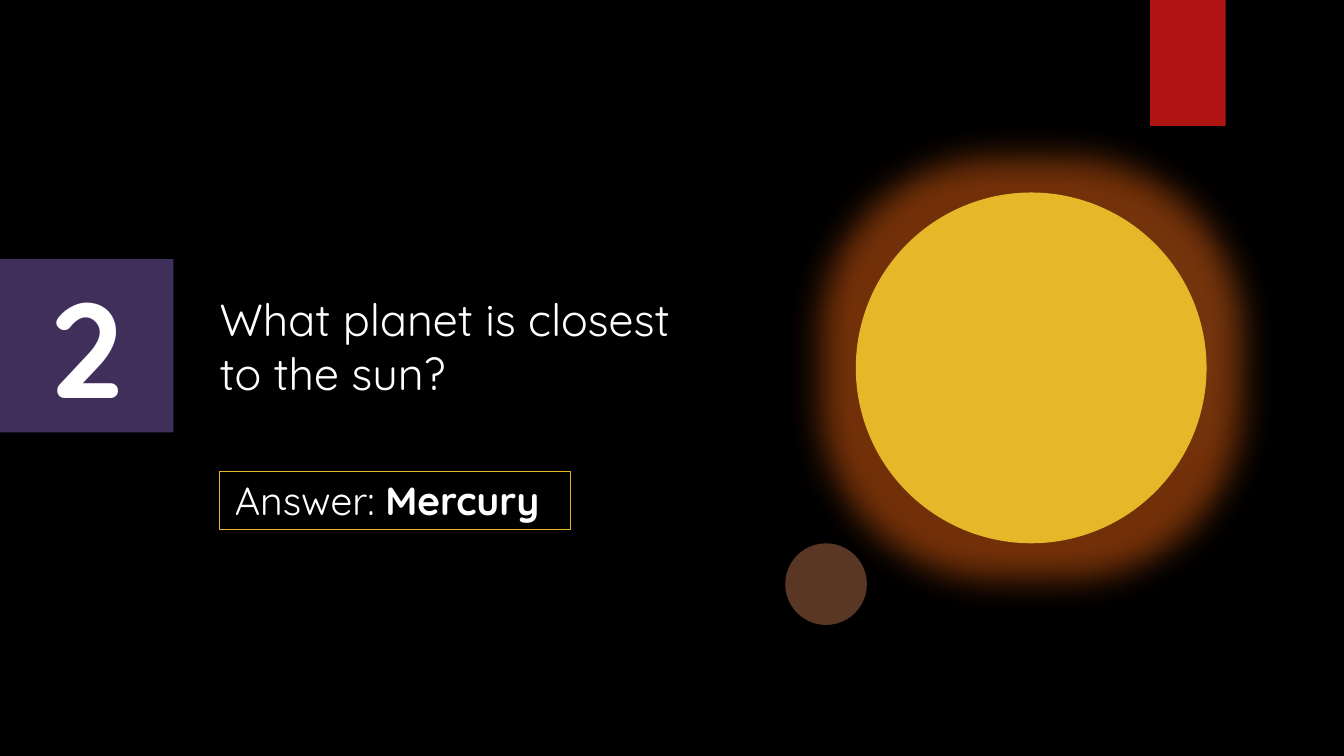
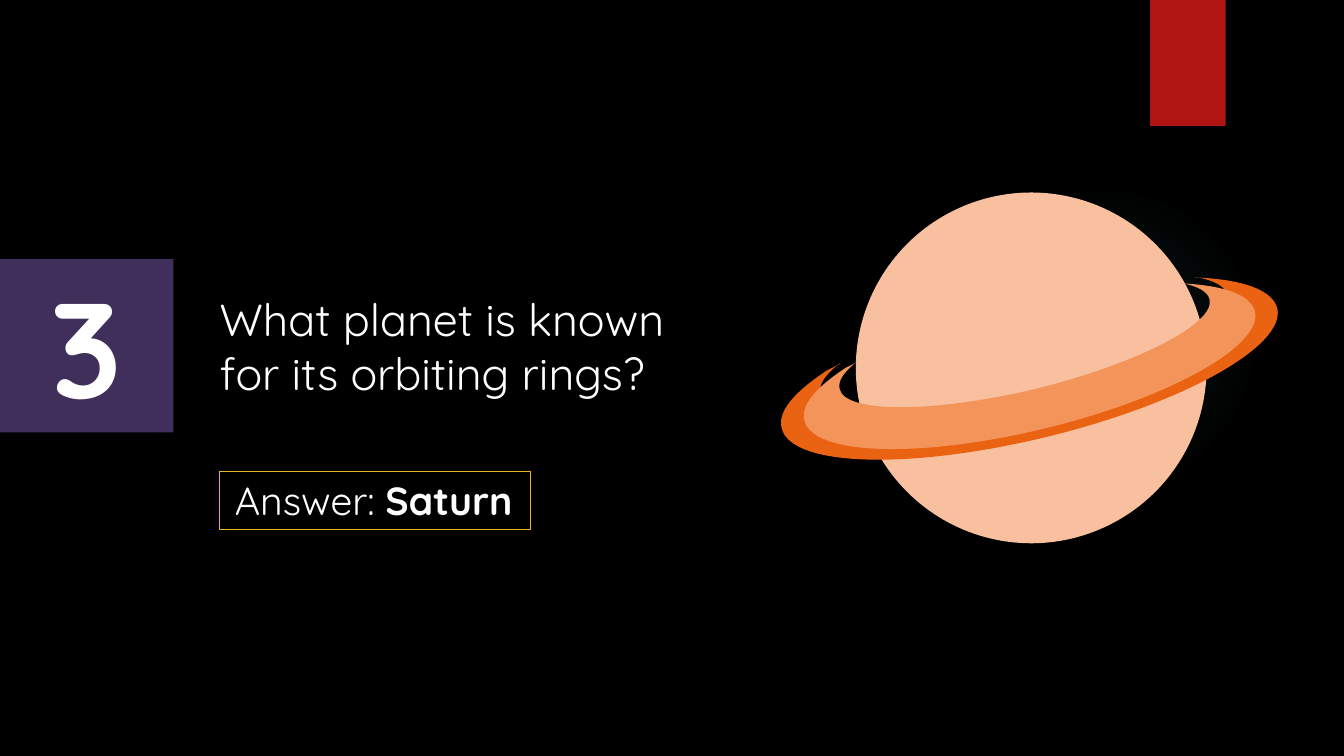
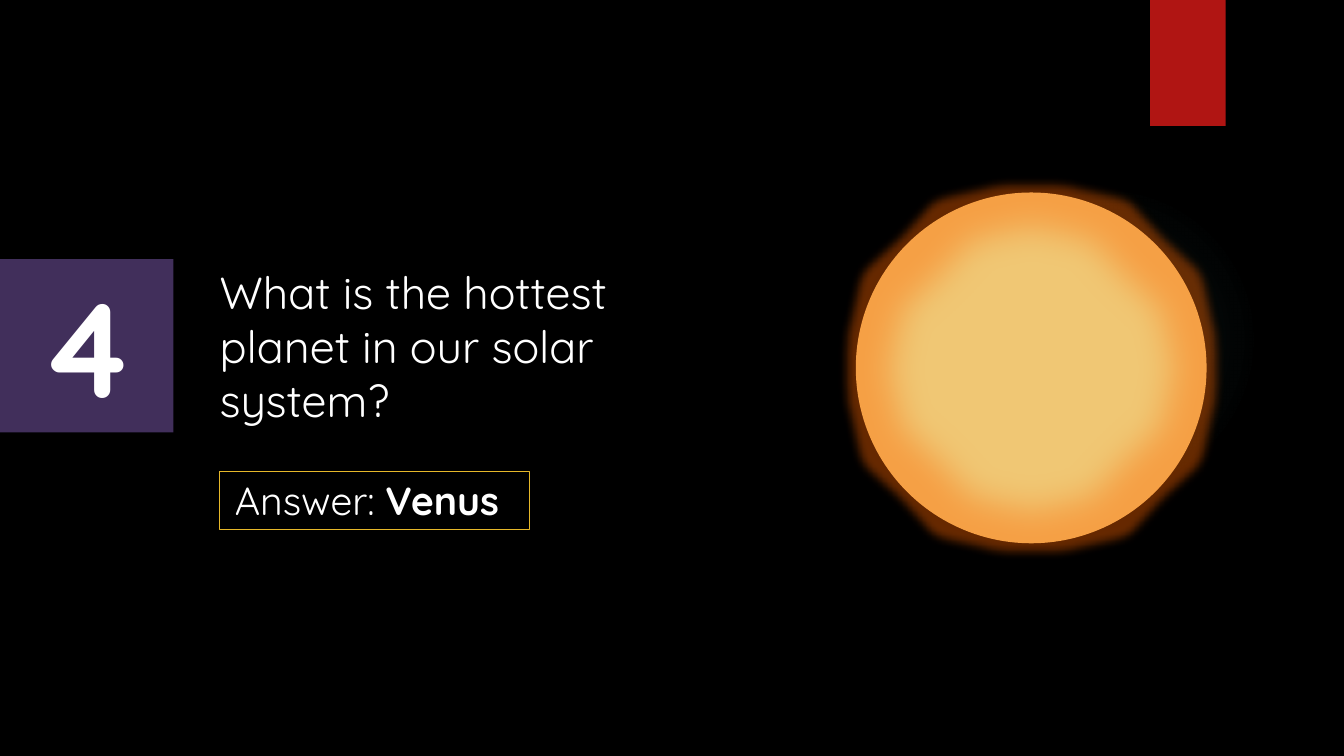
from lxml.etree import SubElement
from pptx import Presentation
from pptx.dml.color import RGBColor
from pptx.enum.shapes import MSO_SHAPE
from pptx.enum.text import MSO_ANCHOR, MSO_AUTO_SIZE, PP_ALIGN
from pptx.oxml import parse_xml
from pptx.oxml.ns import nsdecls, qn
from pptx.util import Inches, Pt

BLACK, WHITE, RED, PURPLE = "000000", "FFFFFF", "B01513", "412F5B"
GOLD, BROWN, PEACH, SAND = "E6B729", "5A3724", "F8C09F", "F0C774"
ORANGE, LIGHT_ORANGE, GLOW_ORANGE, TEAL = "EA6312", "F3955B", "FF6600", "50B9C1"

# Number, question, its top and height, answer, width of its box, globe colour
QUESTIONS = [
    ("2", "What planet is closest to the sun?", 2.79, 1.28, "Mercury", 3.48, GOLD),
    ("3", "What planet is known for its orbiting rings?", 2.79, 1.28, "Saturn", 3.08, PEACH),
    ("4", "What is the hottest planet in our solar system?", 2.52, 1.82, "Venus", 3.07, SAND),
]

# Outline of Saturn's ring: a start point, then lines (1 point) and curves (3 points)
RING_START = (8.51, 3.59)
RING_STEPS = [
    [(8.5, 3.59)],
    [(8.37, 3.69), (8.31, 3.78), (8.33, 3.86)],
    [(8.38, 4.1), (9.25, 4.1), (10.27, 3.86)],
    [(11.28, 3.61), (12.06, 3.21), (12, 2.97)],
    [(11.98, 2.89), (11.88, 2.84), (11.73, 2.81)],
    [(11.71, 2.81)],
    [(11.84, 2.82)],
    [(12.19, 2.85), (12.41, 2.94), (12.45, 3.09)],
    [(12.53, 3.43), (11.6, 3.95), (10.37, 4.25)],
    [(9.13, 4.55), (8.06, 4.52), (7.98, 4.17)],
    [(7.94, 4.02), (8.1, 3.84), (8.39, 3.65)],
]


def paint(shape, fill=None, line=None, width=0.75, effects=()):
    """Set fill, line and effects given as (tag, attributes, colour, opacity)."""
    shape.shadow.inherit = False
    for color, target in ((fill, shape.fill), (line, shape.line.fill)):
        if color:
            target.solid()
            target.fore_color.rgb = RGBColor.from_string(color)
        else:
            target.background()
    if line:
        shape.line.width = Pt(width)
    effect_list = shape._element.spPr.find(qn("a:effectLst"))
    for tag, attributes, color, opacity in effects:
        effect = SubElement(effect_list, qn(tag), {k: str(v) for k, v in attributes.items()})
        if color:
            tint = SubElement(effect, qn("a:srgbClr"), val=color)
            SubElement(tint, qn("a:alpha"), val=str(opacity * 1000))
    return shape


def write(shape, *runs, size, bold_last=False, align=PP_ALIGN.LEFT, anchor=MSO_ANCHOR.TOP,
          margins=(0.1, 0.05), wrap=True, grow=True):
    """Fill a shape with one paragraph of white runs."""
    frame = shape.text_frame
    frame.word_wrap = wrap
    frame.auto_size = MSO_AUTO_SIZE.SHAPE_TO_FIT_TEXT if grow else MSO_AUTO_SIZE.NONE
    frame.vertical_anchor = anchor
    frame.margin_left = frame.margin_right = Inches(margins[0])
    frame.margin_top = frame.margin_bottom = Inches(margins[1])
    paragraph = frame.paragraphs[0]
    paragraph.alignment = align
    for text in runs:
        run = paragraph.add_run()
        run.text = text
        run.font.name = "Quicksand"
        run.font.size = Pt(size)
        run.font.bold = bold_last and text == runs[-1]
        run.font.color.rgb = RGBColor.from_string(WHITE)


prs = Presentation()
prs.slide_width, prs.slide_height = Inches(40 / 3), Inches(7.5)
master = prs.slide_master
backdrop = master.background.fill
backdrop.solid()
backdrop.fore_color.rgb = RGBColor.from_string(BLACK)
slides = [prs.slides.add_slide(prs.slide_layouts[6]) for _ in QUESTIONS]

# Faint halo and red band, moved to the master so that every slide shows them
shapes = slides[0].shapes
halo = paint(shapes.add_shape(MSO_SHAPE.OVAL, *map(Inches, (9.41, 1.83, 3.08, 3.08))))
stops = "".join(
    f'<a:gs pos="{pos}000"><a:srgbClr val="{TEAL}"><a:alpha val="{alpha}000"/></a:srgbClr></a:gs>'
    for pos, alpha in ((0, 7), (36, 6), (69, 0)))
no_fill = halo._element.spPr.find(qn("a:noFill"))
no_fill.getparent().replace(no_fill, parse_xml(
    f'<a:gradFill {nsdecls("a")}><a:gsLst>{stops}</a:gsLst><a:path path="circle">'
    '<a:fillToRect l="50000" t="50000" r="50000" b="50000"/></a:path></a:gradFill>'))
band = paint(shapes.add_shape(MSO_SHAPE.RECTANGLE, *map(Inches, (11.41, 0, 0.75, 1.25))), RED)
for shared in (halo, band):
    master.shapes._spTree.append(shared._element)

for slide, question_parts in zip(slides, QUESTIONS):
    number, question, question_top, question_height, answer, answer_width, color = question_parts
    shapes = slide.shapes

    # Answer, question and number
    answer_box = shapes.add_shape(
        MSO_SHAPE.RECTANGLE, *map(Inches, (2.18, 4.68, answer_width, 0.57)))
    write(paint(answer_box, line=GOLD), "Answer: ", answer, size=28, bold_last=True,
          margins=(0.15, 0.05), wrap=False)
    question_box = shapes.add_textbox(
        *map(Inches, (2.18, question_top, 4.9, question_height)))
    write(question_box, question, size=32, anchor=MSO_ANCHOR.MIDDLE, margins=(0, 0.1))
    number_box = shapes.add_shape(MSO_SHAPE.RECTANGLE, *map(Inches, (0, 2.57, 1.72, 1.72)))
    write(paint(number_box, PURPLE), number, size=96, bold_last=True,
          align=PP_ALIGN.CENTER, wrap=False, grow=False)

    # Planet or sun
    globe = shapes.add_shape(MSO_SHAPE.OVAL, *map(Inches, (8.49, 1.91, 3.48, 3.48)))
    sun_glow = [("a:glow", {"rad": Pt(50)}, ORANGE, 49)] if answer == "Mercury" else []
    paint(globe, color, effects=sun_glow)

    if answer == "Mercury":
        mercury = shapes.add_shape(MSO_SHAPE.OVAL, *map(Inches, (7.79, 5.39, 0.81, 0.81)))
        paint(mercury, BROWN)

    elif answer == "Saturn":
        builder = shapes.build_freeform(*map(Inches, RING_START))
        for step in RING_STEPS:
            builder.add_line_segments([tuple(map(Inches, p)) for p in step], close=False)
        builder.add_line_segments([], close=True)
        ring = builder.convert_to_shape()
        # Turn each group of three points into one curve
        segments = iter(list(ring._element.iter(qn("a:lnTo"))))
        for step in RING_STEPS:
            group = [next(segments) for _ in step]
            if len(group) == 3:
                curve = group[0].makeelement(qn("a:cubicBezTo"))
                group[0].addprevious(curve)
                for segment in group:
                    curve.append(segment[0])
                    segment.getparent().remove(segment)
        outer_ring = {"blurRad": 0, "dist": Pt(2), "dir": 5400000, "sx": 110000,
                      "sy": 110000, "algn": "ctr", "rotWithShape": 0}
        paint(ring, LIGHT_ORANGE, effects=[("a:outerShdw", outer_ring, ORANGE, 100)])

    else:
        haze = shapes.add_shape(MSO_SHAPE.STAR_12_POINT, *map(Inches, (8.38, 1.8, 3.7, 3.7)))
        haze.adjustments[0] = 0.477
        paint(haze, SAND, ORANGE, 1.5, effects=[
            ("a:glow", {"rad": Pt(14)}, GLOW_ORANGE, 40),
            ("a:softEdge", {"rad": Pt(25)}, None, None)])

prs.save("out.pptx")
